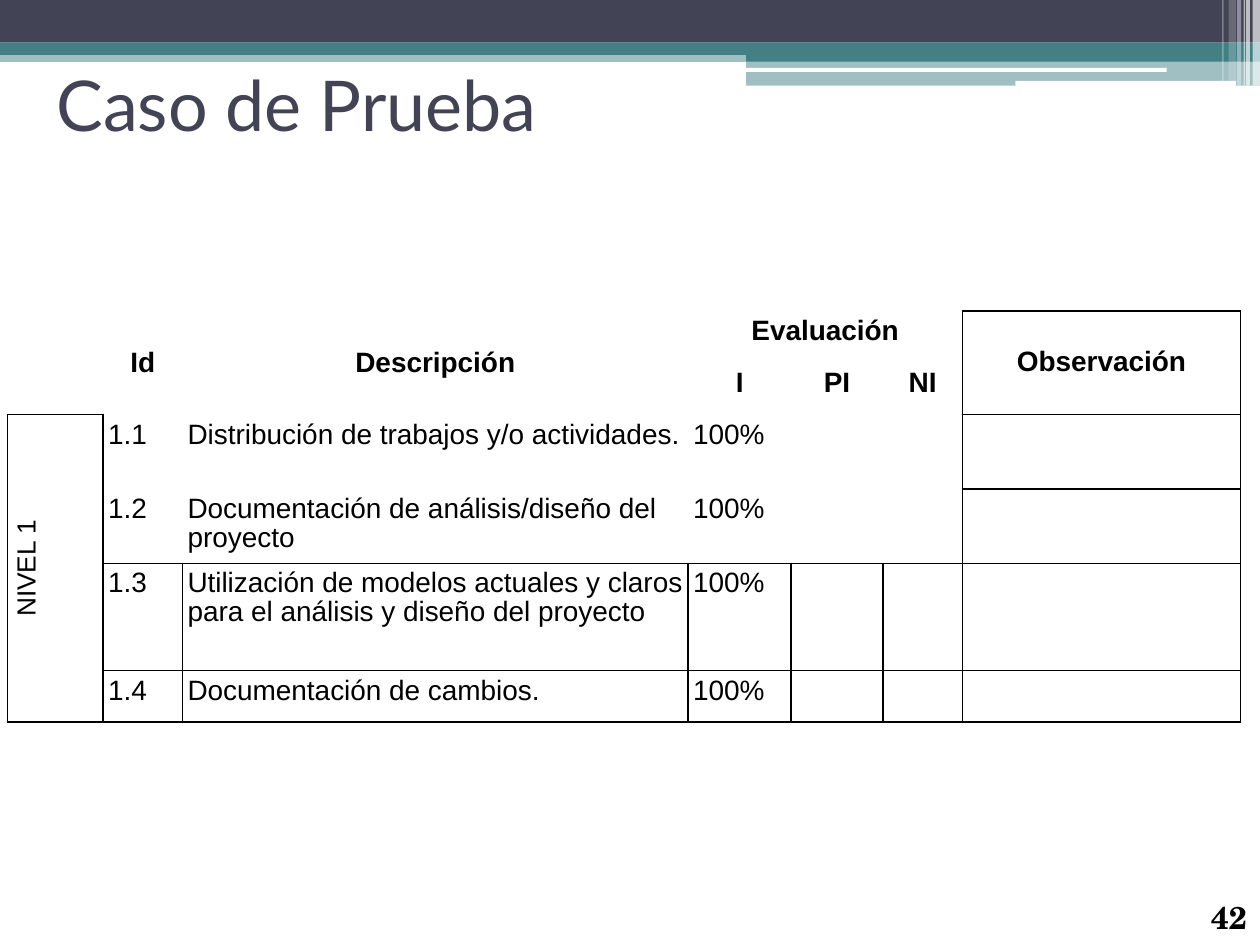
from lxml import etree
from pptx import Presentation
from pptx.dml.color import RGBColor
from pptx.enum import shapes, text
from pptx.oxml import ns
from pptx.util import Cm, Pt

NAVY, TEAL, WHITE, BLACK = "424456", "438086", "FFFFFF", "000000"
RECT, ROUND = shapes.MSO_SHAPE.RECTANGLE, shapes.MSO_SHAPE.ROUNDED_RECTANGLE
MIDDLE, CENTER = text.MSO_ANCHOR.MIDDLE, text.PP_ALIGN.CENTER

# preset, left, top, width, height, colour, opacity in percent
BANDS = [
    (RECT, 0, 1.02, 25.4, 0.23, TEAL, 50),
    (RECT, 0, 0, 25.4, 0.86, NAVY, 100),
    (RECT, 0, 0.86, 25.4, 0.25, TEAL, 100),
    (RECT, 15.04, 0.99, 10.36, 0.25, TEAL, 100),
    (RECT, 15.04, 1.22, 10.36, 0.51, TEAL, 50),
    (ROUND, 15.01, 1.37, 8.51, 0.08, WHITE, 100),
    (ROUND, 20.47, 1.63, 4.45, 0.1, WHITE, 100),
]
# left, width, height, opacity
STRIPES = [(25.25, 0.15, 1.73, 65), (25.12, 0.08, 1.73, 65), (25.07, 0.03, 1.73, 60),
           (24.94, 0.08, 1.73, 40), (24.77, 0.15, 1.63, 20), (24.64, 0.03, 1.63, 30)]

COLS = [1.93, 1.6, 10.19, 2.08, 1.85, 1.6, 5.61]
ROWS = [0.91, 0.91, 1.5, 1.5, 2.16, 0.91]
CELLS = [
    ["", "Id", "Descripción", "Evaluación", "", "", "Observación"],
    ["", "", "", "I", "PI", "NI", ""],
    ["NIVEL 1", "1.1", "Distribución de trabajos y/o actividades.", "100%", "", "", ""],
    ["", "1.2", "Documentación de análisis/diseño del proyecto", "100%", "", "", ""],
    ["", "1.3", "Utilización de modelos actuales y claros para el análisis y diseño del proyecto",
     "100%", "", "", ""],
    ["", "1.4", "Documentación de cambios.", "100%", "", "", ""],
]
MERGES = [((0, 1), (1, 1)), ((0, 2), (1, 2)), ((0, 3), (0, 5)), ((0, 6), (1, 6)), ((2, 0), (5, 0))]
HAIRLINE, RULE = 0.03, 1
NO_STYLE = "{2D5ABB26-0587-4C30-8999-92F81FD0307C}"


def rgb(color):
    return RGBColor.from_string(color)


def put(obj, values):
    for name, value in values.items():
        setattr(obj, name, value)


def margins(left, top, right, bottom):
    return dict(margin_left=Cm(left), margin_top=Cm(top),
                margin_right=Cm(right), margin_bottom=Cm(bottom))


def add_band(slide, preset, left, top, width, height, color, opacity):
    sp = slide.shapes.add_shape(preset, Cm(left), Cm(top), Cm(width), Cm(height))
    sp.shadow.inherit = False
    sp.line.fill.background()
    sp.fill.solid()
    sp.fill.fore_color.rgb = rgb(color)
    if opacity < 100:
        clr = sp.fill._xPr.find(".//" + ns.qn("a:srgbClr"))
        etree.SubElement(clr, ns.qn("a:alpha"), val=str(opacity * 1000))


def write(p, words, color, **font):
    r = p.add_run()
    r.text = words
    put(r.font, font)
    r.font.color.rgb = rgb(color)


def add_text(slide, box, words, frame, color, **font):
    tf = slide.shapes.add_textbox(*map(Cm, box)).text_frame
    put(tf, frame)
    write(tf.paragraphs[0], words, color, **font)


def is_open(row, col):
    """Tell whether a cell lies in the upper part, which has no visible grid."""
    return row < 2 and col == 0 or row < 4 and 1 <= col <= 5


def edge_width(row, col, next_row, next_col):
    on_table = 0 <= next_row < len(ROWS) and 0 <= next_col < len(COLS)
    faint = is_open(row, col) and (not on_table or is_open(next_row, next_col))
    return HAIRLINE if faint else RULE


def set_borders(cell, row, col):
    tcPr = cell._tc.get_or_add_tcPr()
    neighbours = {"L": (row, col - 1), "R": (row, col + cell.span_width),
                  "T": (row - 1, col), "B": (row + cell.span_height, col)}
    for side, neighbour in neighbours.items():
        width = Pt(edge_width(row, col, *neighbour))
        ln = etree.SubElement(tcPr, ns.qn("a:ln" + side), w=str(width))
        fill = etree.SubElement(ln, ns.qn("a:solidFill"))
        etree.SubElement(fill, ns.qn("a:srgbClr"), val=BLACK)


def fill_cell(cell, row, col, words):
    roomy = not words or col == 6
    put(cell, margins(0.23, 0.15, 0.23, 0.13) if roomy else margins(0.1, 0.13, 0.1, 0.1))
    if not words:
        return
    header, level = row < 2, col == 0
    p = cell.text_frame.paragraphs[0]
    p.line_spacing = 0.93
    if header or level:
        p.alignment = CENTER
    if level or cell.span_height > 1:
        cell.vertical_anchor = MIDDLE
    if level:
        cell._tc.get_or_add_tcPr().set("vert", "vert270")
    write(p, words, BLACK, name="Arial", size=Pt(15 if level else 16), bold=header)


def add_test_table(slide):
    frame = slide.shapes.add_table(len(ROWS), len(COLS), Cm(0.15), Cm(6.27),
                                   Cm(sum(COLS)), Cm(sum(ROWS)))
    table = frame.table
    put(table, dict(first_row=False, horz_banding=False))
    table._tbl.tblPr.find(ns.qn("a:tableStyleId")).text = NO_STYLE
    for column, width in zip(table.columns, COLS):
        column.width = Cm(width)
    for line, height in zip(table.rows, ROWS):
        line.height = Cm(height)
    for first, last in MERGES:
        table.cell(*first).merge(table.cell(*last))
    for row, line in enumerate(CELLS):
        for col, words in enumerate(line):
            cell = table.cell(row, col)
            if not cell.is_spanned:
                fill_cell(cell, row, col, words)
                set_borders(cell, row, col)
            cell.fill.background()


def main():
    prs = Presentation()
    put(prs, dict(slide_width=Cm(25.4), slide_height=Cm(19.05)))
    s = prs.slides.add_slide(prs.slide_layouts[6])
    for band in BANDS:
        add_band(s, *band)
    for left, width, height, opacity in STRIPES:
        add_band(s, RECT, left, 0, width, height, WHITE, opacity)
    add_text(s, (0.91, 0.23, 23.6, 3.76), "Caso de Prueba",
             dict(word_wrap=True, vertical_anchor=MIDDLE, **margins(0.23, 0.1, 0.23, 0.13)),
             NAVY, name="Lato", size=Pt(40))
    add_text(s, (24.18, 17.96, 3.25, 1.09), "42",
             dict(word_wrap=False, **margins(0.23, 0.15, 0.23, 0.1)),
             BLACK, name="TeX Gyre Schola", size=Pt(18), bold=True)
    add_test_table(s)
    prs.save("out.pptx")


if __name__ == "__main__":
    main()
